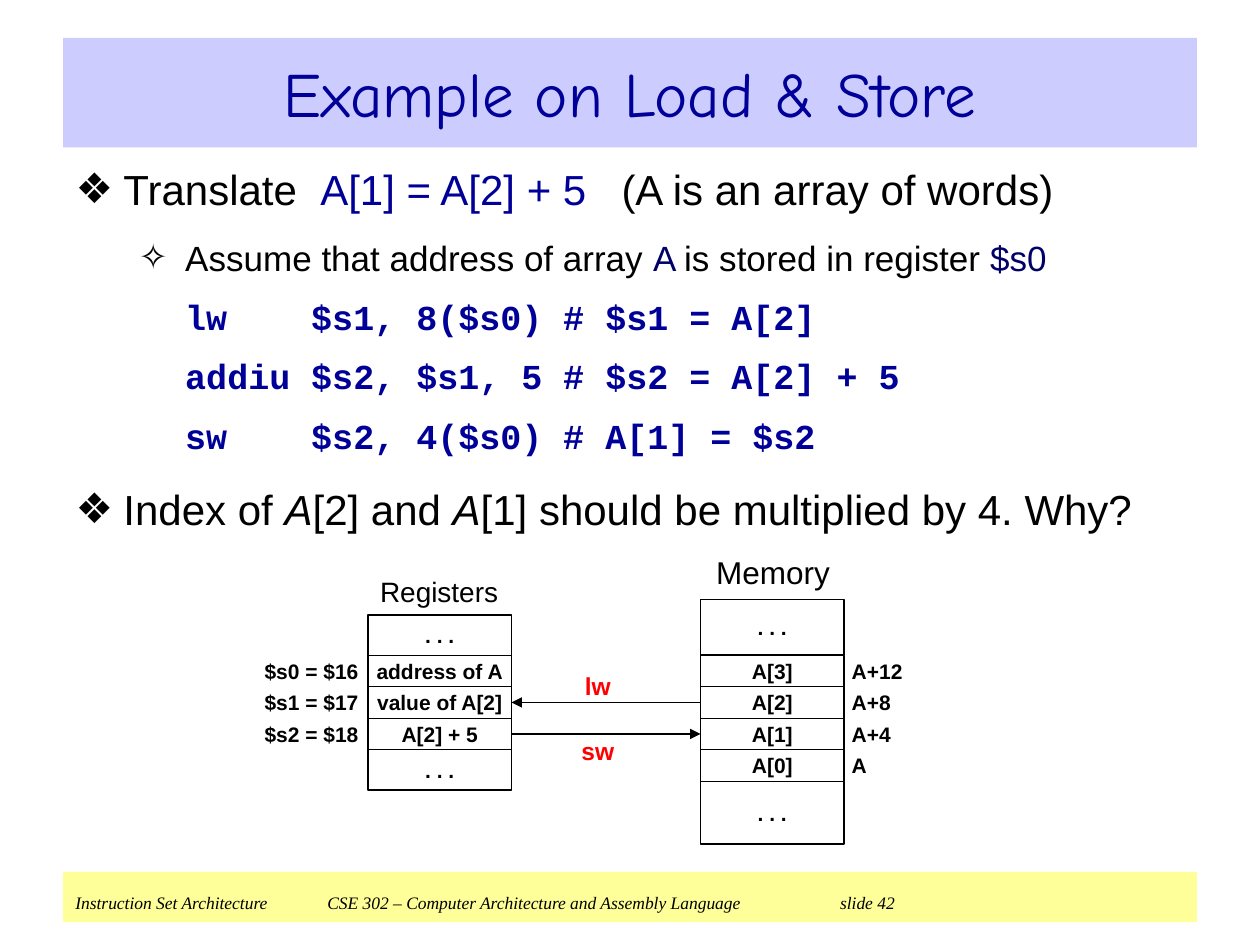
from dataclasses import dataclass
from itertools import accumulate

from lxml import etree
from pptx import Presentation, util as u
from pptx.dml.color import RGBColor
from pptx.enum import shapes, text
from pptx.oxml.ns import qn


@dataclass(frozen=True)
class Theme:
    black: str = "000000"
    blue: str = "000099"
    navy: str = "000066"
    red: str = "FF0000"
    banner: str = "CCCCFF"
    footer: str = "FFFF99"
    sans: str = "Arial"
    mono: str = "Courier New"
    serif: str = "Times New Roman"
    title: str = "Comic Neue"
    title_size: int = 36
    body_size: int = 24
    sub_size: int = 20
    memory_size: int = 18
    registers_size: int = 16
    op_size: int = 14
    cell_size: int = 12
    footer_size: int = 10


T = Theme()
MARGIN, FULL_W = 0.5, 9
ROW_H, ROW_TOP = 0.25, 5.2   # named rows shared by both columns
CELL_W = 1.14
REG_X, MEM_X = 2.92, 5.56
REG_END_H = 0.32
MEM_TOP_H, MEM_END_H = 0.44, 0.5

MEMORY = [("A[3]", "A+12"), ("A[2]", "A+8"), ("A[1]", "A+4"), ("A[0]", "A")]
REGISTERS = [("address of A", "$s0 = $16"), ("value of A[2]", "$s1 = $17"),
             ("A[2] + 5", "$s2 = $18")]
CODE = ["\tlw\t$s1, 8($s0)\t# $s1 = A[2]",
        "\taddiu\t$s2, $s1, 5\t# $s2 = A[2] + 5",
        "\tsw\t$s2, 4($s0)\t# A[1] = $s2"]


def inches(*lengths):
    return [u.Inches(n) for n in lengths]


def style(r, size, color=T.black, font=T.sans, bold=False, italic=False):
    f = r.font
    f.size, f.name, f.bold, f.italic = u.Pt(size), font, bold, italic
    f.color.rgb = RGBColor.from_string(color)


def add_run(p, words, size, **look):
    r = p.add_run()
    r.text = words
    style(r, size, **look)


def place(sp, x, y, w, h):
    sp.left, sp.top, sp.width, sp.height = inches(x, y, w, h)


def fill(sp, color):
    sp.fill.solid()
    sp.fill.fore_color.rgb = RGBColor.from_string(color)


def set_frame(tf, inset_x=0, inset_y=0, anchor=text.MSO_ANCHOR.MIDDLE):
    tf.word_wrap = True
    tf.auto_size = text.MSO_AUTO_SIZE.NONE
    tf.vertical_anchor = anchor
    tf.margin_left = tf.margin_right = u.Inches(inset_x)
    tf.margin_top = tf.margin_bottom = u.Inches(inset_y)


def add_label(group, words, box, size=T.cell_size, centred=True, **look):
    sp = group.add_textbox(*inches(*box))
    set_frame(sp.text_frame)
    p = sp.text_frame.paragraphs[0]
    p.text = words
    p.alignment = text.PP_ALIGN.CENTER if centred else text.PP_ALIGN.LEFT
    style(p.runs[0], size, **look)


def add_cell(group, words, box):
    sp = group.add_shape(shapes.MSO_SHAPE.RECTANGLE, *inches(*box))
    sp.shadow.inherit = False
    sp.fill.background()
    sp.line.color.rgb = RGBColor.from_string(T.black)
    sp.line.width = u.Pt(0.75)
    set_frame(sp.text_frame)
    p = sp.text_frame.paragraphs[0]
    p.text = words
    p.alignment = text.PP_ALIGN.CENTER
    style(p.runs[0], T.cell_size, bold=True)


def add_column(group, x, rows, top_h, end_h, label_x, label_w):
    """Stack named rows between two '. . .' cells, with labels at label_x."""
    names = [". . .", *(name for name, _ in rows), ". . ."]
    heights = [top_h, *[ROW_H] * len(rows), end_h]
    tops = list(accumulate(heights, initial=ROW_TOP - top_h))
    for name, y, h in zip(names, tops, heights):
        add_cell(group, name, (x, y, CELL_W, h))
    for (_, label), y in zip(rows, tops[1:]):
        add_label(group, label, (label_x, y, label_w, ROW_H),
                  centred=False, bold=True)


def add_arrow(group, x1, x2, row):
    y = ROW_TOP + (row + 0.5) * ROW_H
    c = group.add_connector(shapes.MSO_CONNECTOR.STRAIGHT,
                            *inches(x1, y, x2, y))
    c.line.color.rgb = RGBColor.from_string(T.black)
    c.line.width = u.Pt(0.75)
    etree.SubElement(c.line._get_or_add_ln(), qn("a:tailEnd"), type="triangle")
    etree.SubElement(c._element.spPr, qn("a:effectLst"))


def set_tab_grid(p):
    p._p.get_or_add_pPr().set("defTabSz", str(u.Inches(1)))


def format_item(p, level, bullet=None, line=1.0):
    left, hang, before = ((0.38, 0.38, 15), (0.87, 0.37, 12.5))[level]
    p.level, p.line_spacing, p.space_before = level, line, u.Pt(before)
    set_tab_grid(p)
    pPr = p._p.get_or_add_pPr()
    pPr.set("marL", str(u.Inches(left)))
    pPr.set("indent", str(-u.Inches(hang)))
    if bullet:
        clr = etree.SubElement(pPr, qn("a:buClr"))
        etree.SubElement(clr, qn("a:srgbClr"), val=T.black)
        etree.SubElement(pPr, qn("a:buChar"), char=bullet)
    else:
        etree.SubElement(pPr, qn("a:buNone"))


def add_title(s):
    sp = s.shapes.title
    place(sp, MARGIN, 0.3, FULL_W, 0.87)
    fill(sp, T.banner)
    set_frame(sp.text_frame, 0.1, 0.05)
    p = sp.text_frame.paragraphs[0]
    p.text = "Example on Load & Store"
    p.alignment = text.PP_ALIGN.CENTER
    style(p.runs[0], T.title_size, T.blue, T.title)


def add_body(s):
    blue, navy, italic = {"color": T.blue}, {"color": T.navy}, {"italic": True}
    code = {"color": T.blue, "font": T.mono, "bold": True}
    items = [
        (0, "❖", 1, [("Translate  ", {}), ("A[1] = A[2] + 5   ", blue),
                     ("(A is an array of words)", {})]),
        (1, "✧", 1, [("Assume that address of array ", {}), ("A ", navy),
                     ("is stored in register ", {}), ("$s0", navy)]),
        *[(1, None, 0.9, [(line, code)]) for line in CODE],
        (0, "❖", 1, [("Index of ", {}), ("A", italic), ("[2] and ", {}),
                     ("A", italic),
                     ("[1] should be multiplied by 4. Why?", {})]),
    ]
    sp = s.placeholders[1]
    place(sp, MARGIN, 1.25, FULL_W, 3.13)
    tf = sp.text_frame
    set_frame(tf, 0.1, 0.05, text.MSO_ANCHOR.TOP)
    for i, (level, bullet, line, runs) in enumerate(items):
        p = tf.add_paragraph() if i else tf.paragraphs[0]
        format_item(p, level, bullet, line)
        for words, look in runs:
            add_run(p, words, (T.body_size, T.sub_size)[level], **look)


def add_diagram(s):
    group = s.shapes.add_group_shape().shapes
    add_column(group, REG_X, REGISTERS, REG_END_H, REG_END_H, 2.1, 0.82)
    add_column(group, MEM_X, MEMORY, MEM_TOP_H, MEM_END_H, 6.76, 0.51)
    add_label(group, "Registers", (2.98, 4.57, 1.01, 0.25), T.registers_size)
    add_label(group, "Memory", (5.63, 4.38, 1.01, 0.31), T.memory_size)
    reg_right = REG_X + CELL_W
    add_arrow(group, MEM_X, reg_right, 1)
    add_arrow(group, reg_right, MEM_X, 2)
    for op, y in (("lw", 5.32), ("sw", 5.83)):
        add_label(group, op, (4.43, y, 0.63, 0.25), T.op_size,
                  color=T.red, bold=True)


def add_footer(s):
    sp = s.shapes.add_shape(shapes.MSO_SHAPE.RECTANGLE,
                            *inches(MARGIN, 6.92, FULL_W, 0.4))
    sp.shadow.inherit = False
    fill(sp, T.footer)
    sp.line.fill.background()
    set_frame(sp.text_frame, 0.1, 0.05, text.MSO_ANCHOR.TOP)
    p = sp.text_frame.paragraphs[0]
    p.alignment = text.PP_ALIGN.LEFT
    set_tab_grid(p)
    look = {"font": T.serif, "italic": True}
    add_run(p, "Instruction Set Architecture\tCSE 302 – Computer Architecture "
               "and Assembly Language \t", T.footer_size, **look)
    add_run(p, " ", T.memory_size)
    add_run(p, "slide 42", T.footer_size, **look)


def main():
    prs = Presentation()
    prs.slide_width, prs.slide_height = inches(10, 7.5)
    s = prs.slides.add_slide(prs.slide_layouts[1])
    add_footer(s)
    add_title(s)
    add_body(s)
    add_diagram(s)
    prs.save("out.pptx")


if __name__ == "__main__":
    main()
